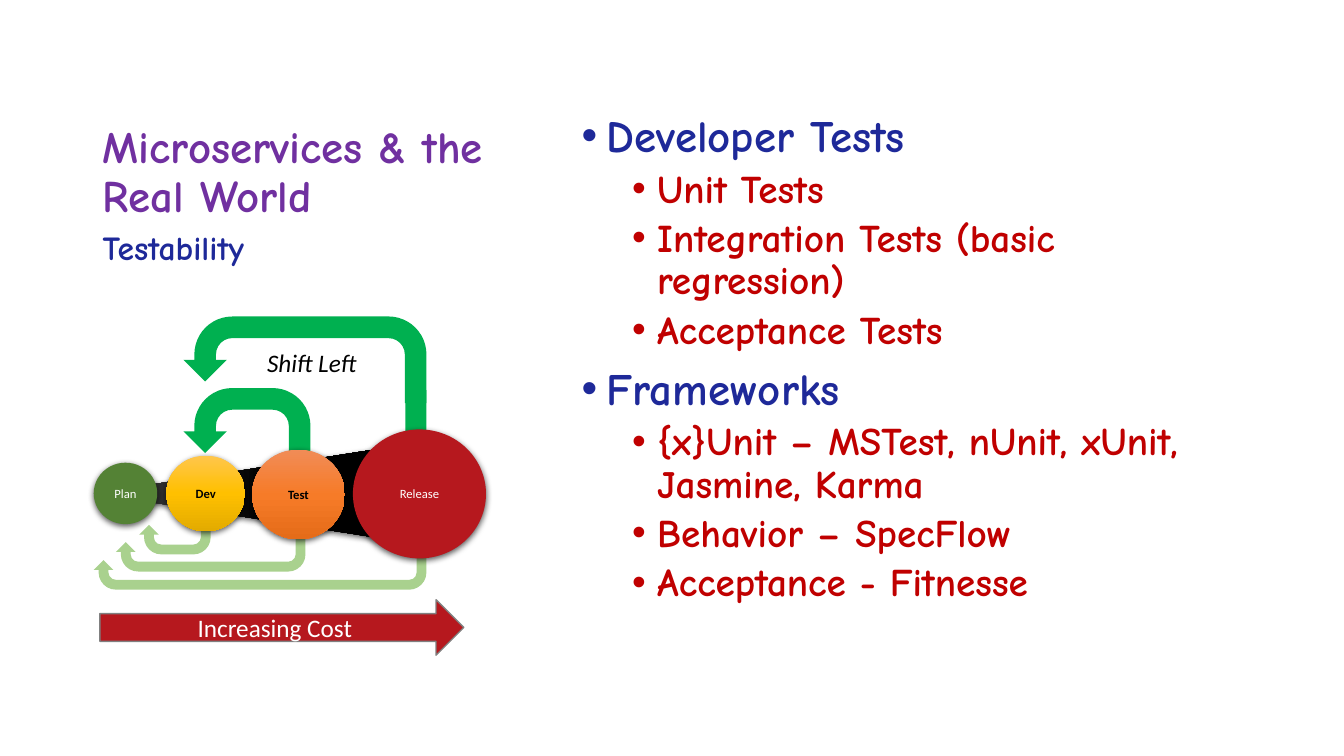
from dataclasses import dataclass
from typing import Optional, Union

from pptx import Presentation
from pptx.dml.color import RGBColor
from pptx.enum.shapes import MSO_SHAPE as Shp
from pptx.enum.text import MSO_ANCHOR as Anchor, PP_ALIGN as Align
from pptx.oxml import parse_xml
from pptx.oxml.ns import nsdecls, qn
from pptx.util import Inches, Pt

HAND, SANS = "Comic Neue", "Calibri"
PURPLE, NAVY, CRIMSON = "7030A0", "1E2999", "C00000"
WHITE, BLACK, GREY = "FFFFFF", "000000", "808080"
RED, FOREST, GREEN, PALE_GREEN = "B6181E", "548235", "00B050", "A9D18E"
YELLOWS = ("FFC64B", "FFC000", "E3AB00")
ORANGES = ("F18C57", "F67B28", "E56C19")
BLACKS = ("4B4B4B", "000000", "000000")

Box = tuple[float, float, float, float]
Fill = Union[str, tuple[str, str, str]]


@dataclass
class Figure:
    kind: Shp
    box: Box
    fill: Fill
    label: str = ""
    size: float = 9
    color: str = WHITE
    bold: bool = False
    line: Optional[str] = None
    shadow: bool = False
    flip: str = ""
    rotation: float = 0


@dataclass
class Line:
    text: str
    size: float
    color: str
    before: float = 0
    level: int = 0
    bullet: bool = False


def stage(label: str, box: Box, fill: Fill, color: str = WHITE) -> Figure:
    return Figure(Shp.OVAL, box, fill, label, color=color,
                  bold=color == BLACK, shadow=True)


def uturn(box: Box, fill: str, flip: str) -> Figure:
    return Figure(Shp.U_TURN_ARROW, box, fill, flip=flip)


def topic(text: str) -> Line:
    return Line(text, 32, NAVY, before=10, bullet=True)


def item(text: str) -> Line:
    return Line(text, 28, CRIMSON, before=5, level=1, bullet=True)


# Back to front
FIGURES = [
    Figure(Shp.ISOSCELES_TRIANGLE, (2.11, 3.19, 1.07, 3.41), BLACKS,
           shadow=True, rotation=270),
    stage("Plan", (0.93, 4.59, 0.63, 0.61), FOREST),
    Figure(Shp.RIGHT_ARROW, (0.99, 5.95, 3.61, 0.55), RED,
           "Increasing Cost", size=18, line=GREY),
    uturn((1.82, 3.85, 1.26, 0.86), GREEN, "H"),
    uturn((1.82, 3.14, 2.41, 0.86), GREEN, "H"),
    Figure(Shp.RECTANGLE, (4.02, 3.87, 0.21, 0.58), GREEN),
    uturn((1.38, 5.11, 0.71, 0.39), PALE_GREEN, "HV"),
    stage("Dev", (1.65, 4.52, 0.78, 0.75), YELLOWS, BLACK),
    uturn((1.15, 5.28, 1.88, 0.39), PALE_GREEN, "HV"),
    stage("Test", (2.5, 4.46, 0.92, 0.89), ORANGES, BLACK),
    uturn((0.93, 5.46, 3.3, 0.39), PALE_GREEN, "HV"),
    stage("Release", (3.5, 4.26, 1.32, 1.28), RED),
]

TESTS = [
    topic("Developer Tests"),
    item("Unit Tests"),
    item("Integration Tests (basic regression)"),
    item("Acceptance Tests"),
    topic("Frameworks"),
    item("{x}Unit – MSTest, nUnit, xUnit, Jasmine, Karma"),
    item("Behavior – SpecFlow"),
    item("Acceptance - Fitnesse"),
]


def rgb(color: str) -> RGBColor:
    return RGBColor.from_string(color)


def add_run(p, text: str, color: str, **fmt) -> None:
    r = p.add_run()
    r.text = text
    for name, value in fmt.items():
        setattr(r.font, name, value)
    r.font.color.rgb = rgb(color)


def paint(sp, fill: Fill) -> None:
    if isinstance(fill, str):
        sp.fill.solid()
        sp.fill.fore_color.rgb = rgb(fill)
        return
    sp.fill.gradient()
    sp.fill.gradient_angle = 270
    stops = sp._element.spPr.find(".//" + qn("a:gsLst"))
    for old in list(stops):
        stops.remove(old)
    for i, color in enumerate(fill):
        stops.append(parse_xml(f'<a:gs {nsdecls("a")} pos="{i * 50000}">'
                               f'<a:srgbClr val="{color}"/></a:gs>'))


def add_shadow(sp) -> None:
    effects = sp._element.spPr.find(qn("a:effectLst"))
    effects.append(parse_xml(
        f'<a:outerShdw {nsdecls("a")} blurRad="{Pt(4.5)}" dist="{Pt(1.5)}" '
        f'dir="5400000" algn="ctr" rotWithShape="0"><a:srgbClr val="{BLACK}">'
        '<a:alpha val="63000"/></a:srgbClr></a:outerShdw>'))


def draw_figure(s, fig: Figure) -> None:
    sp = s.shapes.add_shape(fig.kind, *map(Inches, fig.box))
    sp.rotation = fig.rotation
    sp.shadow.inherit = False
    paint(sp, fig.fill)
    if fig.line:
        sp.line.color.rgb = rgb(fig.line)
        sp.line.width = Pt(1)
    else:
        sp.line.fill.background()
    if fig.shadow:
        add_shadow(sp)
    for axis in fig.flip:
        sp._element.spPr.find(qn("a:xfrm")).set("flip" + axis, "1")
    if fig.label:
        tf = sp.text_frame
        tf.word_wrap, tf.vertical_anchor = True, Anchor.MIDDLE
        p = tf.paragraphs[0]
        p.alignment = Align.CENTER
        add_run(p, fig.label, fig.color, name=SANS, size=Pt(fig.size), bold=fig.bold)


def draw_text(s, box: Box, lines: list[Line], anchor: Anchor = Anchor.TOP) -> None:
    tf = s.shapes.add_textbox(*map(Inches, box)).text_frame
    tf.word_wrap, tf.vertical_anchor = True, anchor
    for i, line in enumerate(lines):
        p = tf.add_paragraph() if i else tf.paragraphs[0]
        p.level, p.line_spacing, p.space_before = line.level, 0.9, Pt(line.before)
        if line.bullet:
            pPr = p._p.get_or_add_pPr()
            pPr.set("marL", str(Inches(0.25 + 0.5 * line.level)))
            pPr.set("indent", str(Inches(-0.25)))
            pPr.append(parse_xml(f'<a:buFont {nsdecls("a")} typeface="Arial"/>'))
            pPr.append(parse_xml(f'<a:buChar {nsdecls("a")} char="•"/>'))
        add_run(p, line.text, line.color, name=HAND, size=Pt(line.size), bold=True)


def main() -> None:
    prs = Presentation()
    prs.slide_width, prs.slide_height = Inches(13.33), Inches(7.5)
    s = prs.slides.add_slide(prs.slide_layouts[6])

    # Heading and bullets
    draw_text(s, (0.92, 0.5, 4.3, 1.75),
              [Line("Microservices & the Real World", 32, PURPLE)], Anchor.BOTTOM)
    draw_text(s, (0.92, 2.25, 4.3, 4.17), [Line("Testability", 24, NAVY, before=10)])
    draw_text(s, (5.67, 1.08, 6.75, 5.33), TESTS)

    # Shift-left diagram
    for fig in FIGURES:
        draw_figure(s, fig)
    tf = s.shapes.add_textbox(*map(Inches, (2.55, 3.4, 1.12, 0.4))).text_frame
    tf.word_wrap = False
    add_run(tf.paragraphs[0], "Shift Left", BLACK, name=SANS, size=Pt(18), italic=True)

    prs.save("out.pptx")


if __name__ == "__main__":
    main()
